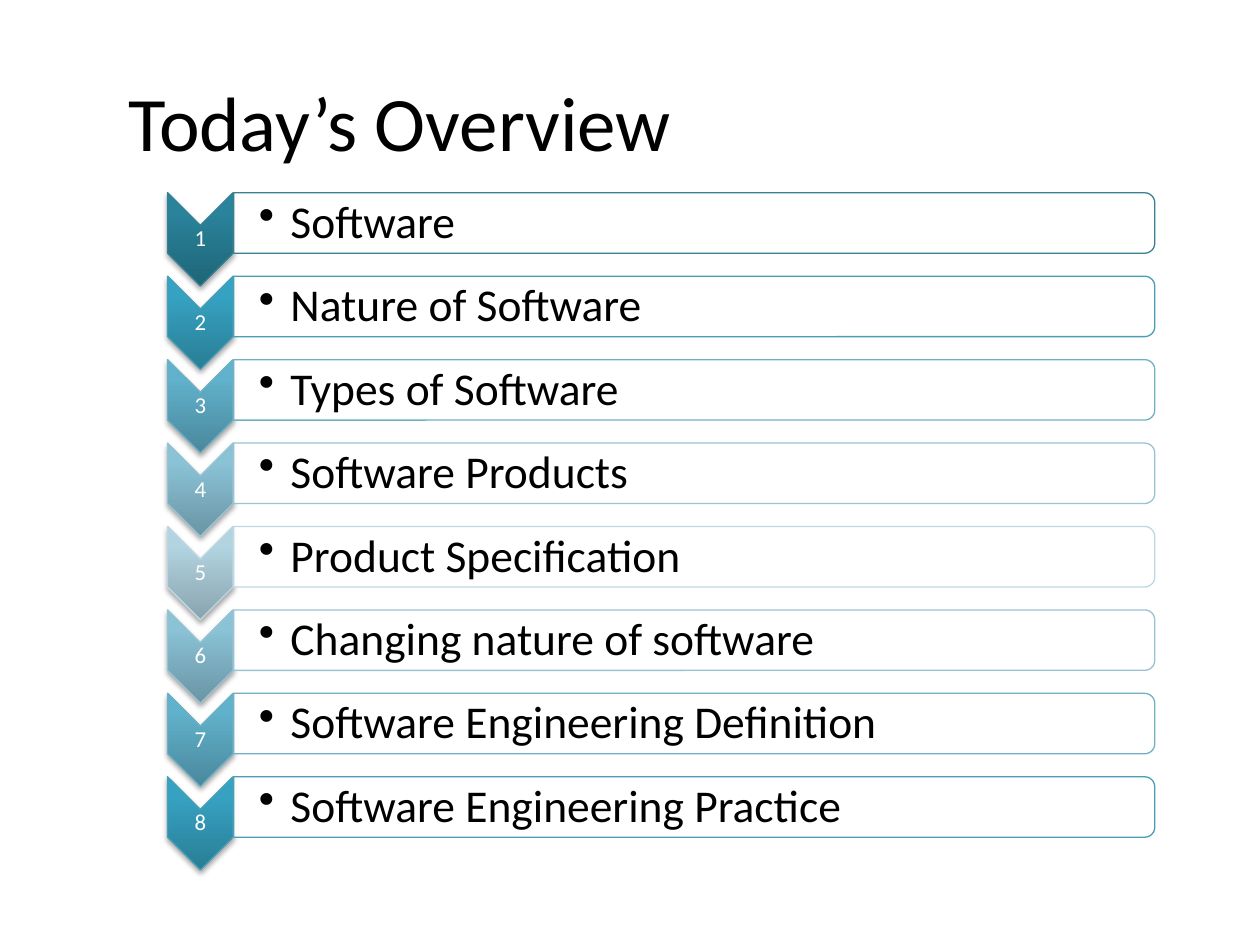
from lxml import etree
from pptx import Presentation, util as u
from pptx.dml.color import RGBColor
from pptx.enum import shapes, text
from pptx.oxml import parse_xml
from pptx.oxml.ns import nsdecls, qn

COLORS = {"ink": "000000", "paper": "FFFFFF"}
SHADES = {
    "deep": ("1F6577", "29839B", "27859E", "377F92"),
    "strong": ("297D95", "36A2C2", "33A4C5", "489EB7"),
    "medium": ("4A889C", "60B1CB", "5FB3CE", "70B0C5"),
    "light": ("6A95A4", "8AC2D6", "89C3D8", "97C3D3"),
    "pale": ("89A3AD", "B2D4E1", "B2D5E3", "BED8E3"),
}
TOPICS = [
    ("Software", "deep"),
    ("Nature of Software", "strong"),
    ("Types of Software", "medium"),
    ("Software Products", "light"),
    ("Product Specification", "pale"),
    ("Changing nature of software", "light"),
    ("Software Engineering Definition", "medium"),
    ("Software Engineering Practice", "strong"),
]
FIRST_ROW, LAST_ROW = 15.3, 61.65


class Deck:
    """Draws styled elements on a slide divided into 100 columns and 75 rows."""

    def __init__(self):
        self.show = Presentation()
        self.show.slide_width, self.show.slide_height = u.Inches(10), u.Inches(7.5)
        self.column = self.show.slide_width / 100
        self.row = self.show.slide_height / 75
        self.slide = self.show.slides.add_slide(self.show.slide_layouts[6])

    def area(self, left, top, width, height):
        return [round(n) for n in (left * self.column, top * self.row,
                                   width * self.column, height * self.row)]

    def label(self, words, area, size, color="ink", insets=None, spacing=None,
              after=0, align=None, bullet=False):
        frame = self.slide.shapes.add_textbox(*self.area(*area)).text_frame
        frame.word_wrap = True
        frame.vertical_anchor = text.MSO_ANCHOR.MIDDLE
        if insets:
            left, other = (u.Inches(n) for n in insets)
            frame.margin_left = left
            frame.margin_top = frame.margin_right = frame.margin_bottom = other
        line = frame.paragraphs[0]
        line.text = words
        line.alignment = align
        line.line_spacing = spacing
        line.space_after = u.Pt(after)
        if bullet:
            props = line._p.get_or_add_pPr()
            props.set("marL", str(u.Inches(0.25)))
            props.set("indent", str(-u.Inches(0.25)))
            etree.SubElement(props, qn("a:buChar")).set("char", "•")
        line.font.name, line.font.size = "Calibri", u.Pt(size)
        line.font.color.rgb = RGBColor.from_string(COLORS[color])

    def turned(self, kind, area, line_color):
        left, top, width, height = area
        upright = (left + (width - height) / 2, top + (height - width) / 2, height, width)
        shape = self.slide.shapes.add_shape(kind, *self.area(*upright))
        shape.rotation = 90
        shape.shadow.inherit = False
        shape.line.color.rgb = RGBColor.from_string(line_color)
        shape.line.width = u.Pt(0.75)
        return shape

    def arrow(self, area, shade):
        *stops, edge = SHADES[shade]
        shape = self.turned(shapes.MSO_SHAPE.CHEVRON, area, edge)
        marks = "".join(f'<a:gs pos="{place}000"><a:srgbClr val="{color}"/></a:gs>'
                        for place, color in zip((0, 80, 100), stops))
        props = shape._element.spPr
        props.find(qn("a:prstGeom")).addnext(parse_xml(
            f'<a:gradFill {nsdecls("a")} rotWithShape="0"><a:gsLst>{marks}</a:gsLst>'
            '<a:lin ang="16200000" scaled="0"/></a:gradFill>'))
        props.find(qn("a:effectLst")).append(parse_xml(
            f'<a:outerShdw {nsdecls("a")} blurRad="40000" dist="23000" dir="5400000" '
            f'rotWithShape="0"><a:srgbClr val="{COLORS["ink"]}"><a:alpha val="35000"/>'
            '</a:srgbClr></a:outerShdw>'))

    def panel(self, area, shade):
        shape = self.turned(shapes.MSO_SHAPE.ROUND_2_SAME_RECTANGLE, area, SHADES[shade][-1])
        shape.fill.solid()
        shape.fill.fore_color.rgb = RGBColor.from_string(COLORS["paper"])
        paint = shape._element.spPr.find(qn("a:solidFill"))[0]
        etree.SubElement(paint, qn("a:alpha")).set("val", "90000")

    def topic(self, number, words, shade, top):
        self.arrow((13.3, top, 5.2, 7.4), shade)
        self.label(str(number), (13.3, top + 2.6, 5.2, 2.2), 13, "paper", (0.01, 0.01),
                   0.9, 4.5, text.PP_ALIGN.CENTER)
        self.panel((18.55, top, 73.1, 4.8), shade)
        self.label(words, (18.55, top + 0.25, 72.9, 4.4), 26, "ink", (0.2, 0.02),
                   0.9, 4, bullet=True)


def main():
    deck = Deck()
    deck.label("Today’s Overview", (9.2, 3.3, 88.3, 12.5), 44)
    pitch = (LAST_ROW - FIRST_ROW) / (len(TOPICS) - 1)
    for index, (words, shade) in enumerate(TOPICS):
        deck.topic(index + 1, words, shade, FIRST_ROW + index * pitch)
    deck.show.save("out.pptx")


if __name__ == "__main__":
    main()
